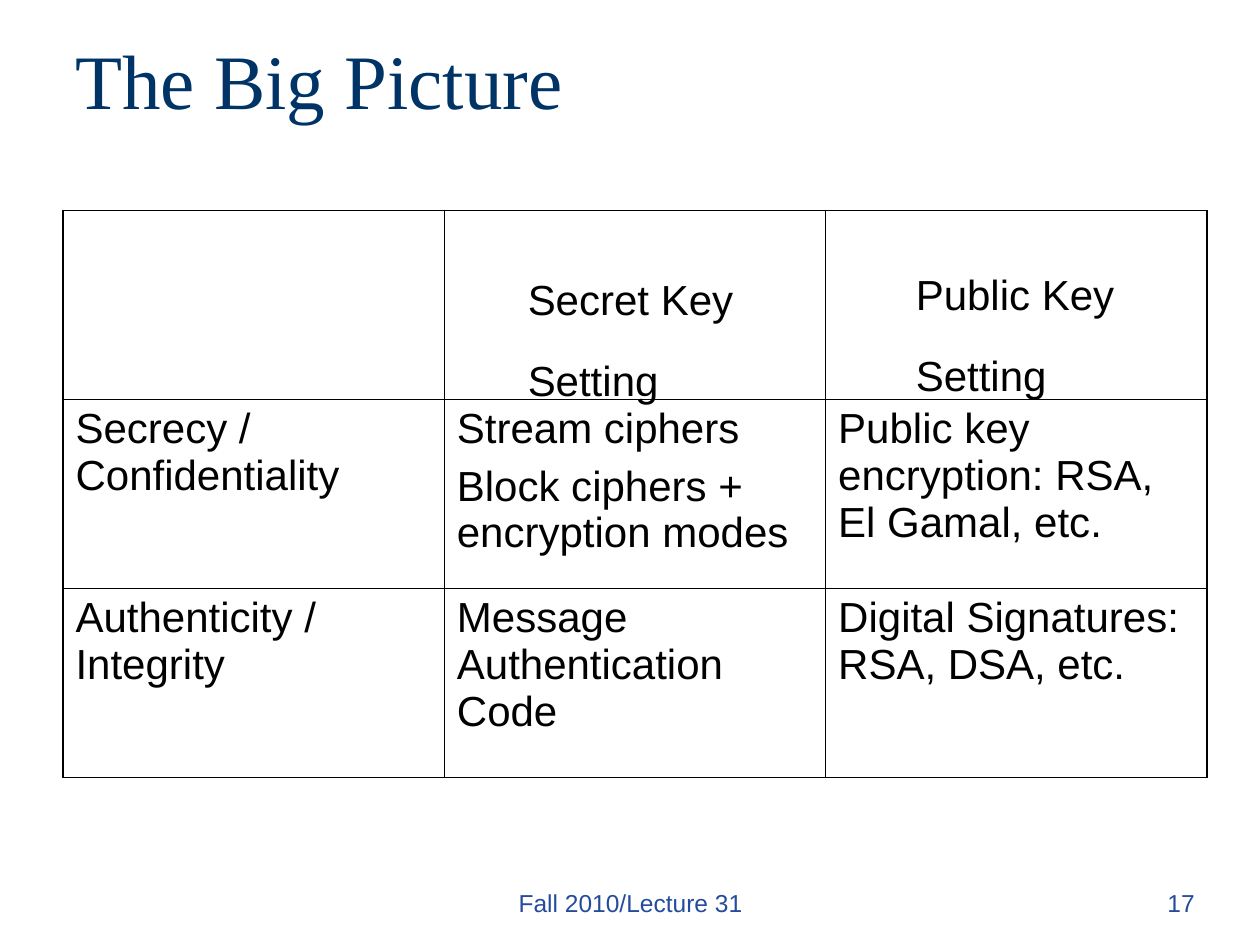
"""Builds a slide comparing secret key and public key cryptography."""
from dataclasses import dataclass

import lxml.etree
import pptx
import pptx.dml.color
import pptx.enum.text
import pptx.oxml.ns
import pptx.util

Inches = pptx.util.Inches
Pt = pptx.util.Pt
ALIGN = pptx.enum.text.PP_ALIGN
ANCHOR = pptx.enum.text.MSO_ANCHOR


@dataclass(frozen=True)
class Theme:
    heading_font: str = "Times New Roman"
    body_font: str = "Arial"
    title_color: str = "003366"
    footer_color: str = "254C9C"
    text_color: str = "000000"
    border_color: str = "000000"
    title_size: int = 44
    body_size: int = 24
    footer_size: int = 14
    outer_border: float = 1.08
    inner_border: float = 0.45


class SlideBuilder:
    def __init__(self, slide, theme):
        self.slide = slide
        self.theme = theme

    def set_text(self, tf, text, size, color, font=None, align=ALIGN.LEFT, before=0, spacing=None):
        tf.text = text
        for p in tf.paragraphs:
            p.alignment = align
            p.space_before = Pt(before)
            if spacing:
                p.line_spacing = spacing
            for r in p.runs:
                r.font.name = font or self.theme.body_font
                r.font.size = Pt(size)
                r.font.color.rgb = pptx.dml.color.RGBColor.from_string(color)

    def text_box(self, left, top, width, height, wrap=True, anchor=ANCHOR.TOP):
        sp = self.slide.shapes.add_textbox(Inches(left), Inches(top), Inches(width), Inches(height))
        tf = sp.text_frame
        tf.word_wrap = wrap
        tf.vertical_anchor = anchor
        return tf

    def title(self, text):
        tf = self.text_box(0.5, 0, 9, 1.25, anchor=ANCHOR.MIDDLE)
        self.set_text(tf, text, self.theme.title_size, self.theme.title_color, self.theme.heading_font)

    def footer(self, text, left, width, align):
        tf = self.text_box(left, 7, width, 0.5)
        self.set_text(tf, text, self.theme.footer_size, self.theme.footer_color, align=align, before=8.8)

    def column_heading(self, text, left, top, width):
        tf = self.text_box(left, top, width, 1.31, wrap=False)
        tf.auto_size = pptx.enum.text.MSO_AUTO_SIZE.SHAPE_TO_FIT_TEXT
        self.set_text(tf, text, self.theme.body_size, self.theme.text_color, before=6, spacing=1.4)

    def border(self, cell, side, width):
        qn = pptx.oxml.ns.qn
        ln = lxml.etree.SubElement(cell._tc.get_or_add_tcPr(), qn(f"a:ln{side}"), w=str(Pt(width)))
        fill = lxml.etree.SubElement(ln, qn("a:solidFill"))
        lxml.etree.SubElement(fill, qn("a:srgbClr"), val=self.theme.border_color)

    def table(self, rows, left, top, width, height):
        n_rows, n_cols = len(rows), len(rows[0])
        frame = self.slide.shapes.add_table(
            n_rows, n_cols, Inches(left), Inches(top), Inches(width), Inches(height))
        table = frame.table
        table.first_row = table.horz_banding = False
        for i, row in enumerate(rows):
            for j, text in enumerate(row):
                cell = table.cell(i, j)
                edges = {"L": j == 0, "R": j == n_cols - 1, "T": i == 0, "B": i == n_rows - 1}
                for side, outer in edges.items():
                    self.border(cell, side, self.theme.outer_border if outer else self.theme.inner_border)
                cell.fill.background()
                if text:
                    self.set_text(cell.text_frame, text, self.theme.body_size,
                                  self.theme.text_color, before=6)


def main():
    prs = pptx.Presentation()
    prs.slide_width, prs.slide_height = Inches(10), Inches(7.5)
    s = SlideBuilder(prs.slides.add_slide(prs.slide_layouts[6]), Theme())
    s.footer("Fall 2010/Lecture 31", 3.42, 3.17, ALIGN.CENTER)
    s.footer("17", 7.5, 2.08, ALIGN.RIGHT)
    s.title("The Big Picture")
    s.table([
        ["", "", ""],
        ["Secrecy / Confidentiality",
         "Stream ciphers\nBlock ciphers + encryption modes",
         "Public key encryption: RSA, El Gamal, etc."],
        ["Authenticity / Integrity",
         "Message Authentication Code",
         "Digital Signatures: RSA, DSA, etc."],
    ], 0.5, 1.67, 9.08, 4.5)
    s.column_heading("Secret Key\nSetting", 4.09, 1.96, 1.92)
    s.column_heading("Public Key\nSetting", 7.17, 1.92, 1.86)
    prs.save("out.pptx")


if __name__ == "__main__":
    main()
